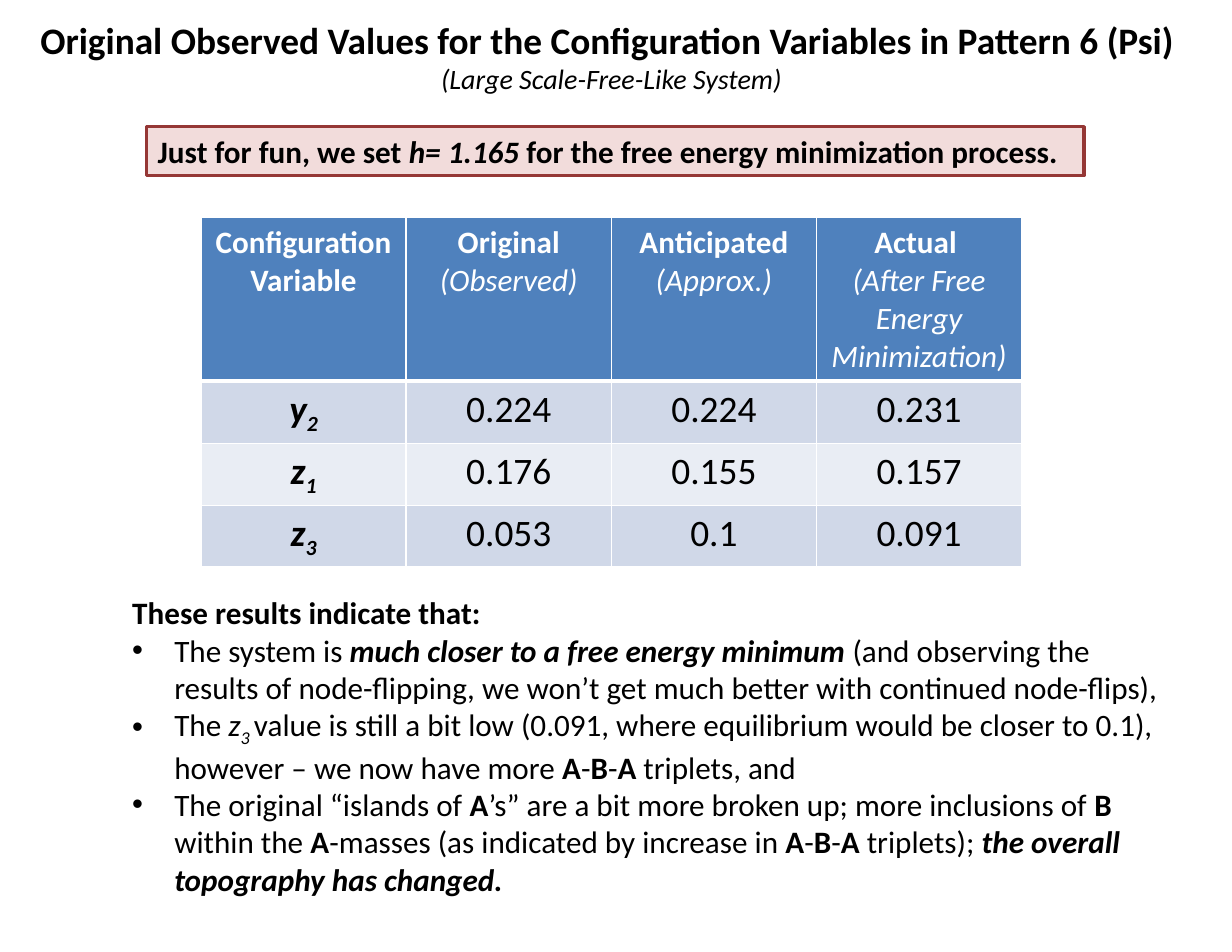
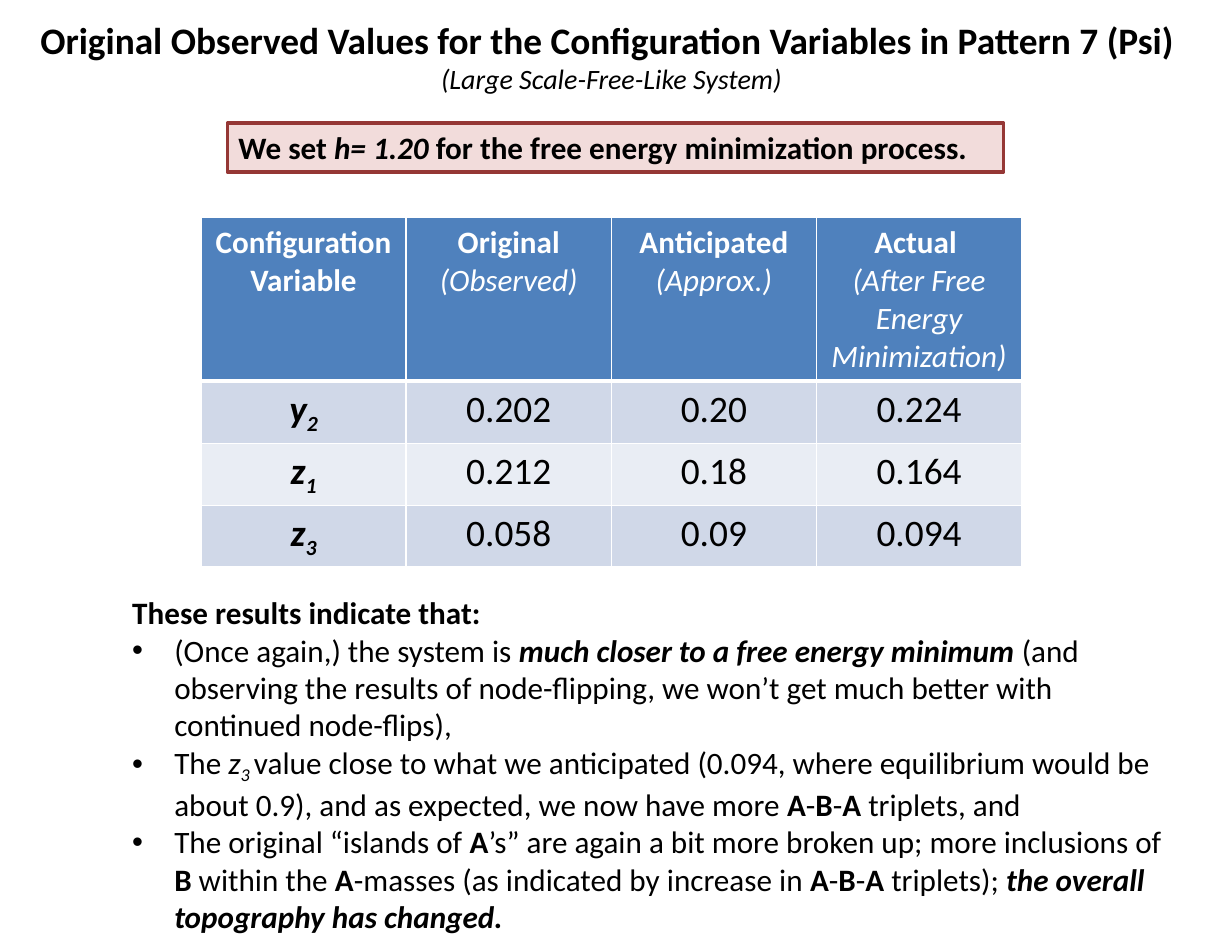
import pptx
import pptx.dml.color
import pptx.enum.shapes
import pptx.enum.text
import pptx.oxml
import pptx.oxml.ns
import pptx.util

Pt = pptx.util.Pt
RGBColor = pptx.dml.color.RGBColor
Align = pptx.enum.text.PP_ALIGN

# Shared style
FONT = "Calibri"
BLACK = RGBColor(0x00, 0x00, 0x00)
WHITE = RGBColor(0xFF, 0xFF, 0xFF)
HEADER_BLUE = RGBColor(0x4F, 0x81, 0xBD)
BAND_COLOURS = [RGBColor(0xD0, 0xD8, 0xE8), RGBColor(0xE9, 0xED, 0xF4)]
CALLOUT_FILL = RGBColor(0xF2, 0xDC, 0xDB)
CALLOUT_LINE = RGBColor(0x95, 0x37, 0x35)
LARGE, MEDIUM, SMALL = 24, 20, 18

# Layout in points: left, top, width, height
TITLE_BOX = (8.6, 7.2, 769, 58.3)
RESULTS_BOX = (77.8, 378, 678.2, 201)
TABLE_LEFT, TABLE_TOP = 129.2, 140
COLUMN_WIDTH, HEADER_HEIGHT, ROW_HEIGHT = 131.9, 103, 39.8
CALLOUT_HEIGHT = 31.5
BULLET_INDENT = 27

# Content: a run is (text, style), where b is bold, i italic and s subscript
SUBTITLE = [("(Large Scale-Free-Like System)", "i")]
HEADERS = [
    [[("Configuration Variable", "b")]],
    [[("Original ", "b"), ("(Observed)", "i")]],
    [[("Anticipated ", "b"), ("(Approx.)", "i")]],
    [[("Actual ", "b")], [("(After Free Energy Minimization)", "i")]],
]
VARIABLES = [("y", "2"), ("z", "1"), ("z", "3")]
TRIPLET = [("A", "b"), ("-", ""), ("B", "b"), ("-", ""), ("A", "b")]
RESULTS_HEADING = [("These results indicate that:", "b")]


def result_bullets(system, z3_value, islands):
    return [
        [(system, ""), ("much closer to a free energy minimum ", "bi"),
         ("(and observing the results of node-flipping, we won’t get much "
          "better with continued node-flips),", "")],
        [("The ", ""), ("z", "i"), ("3 ", "is"), (z3_value, ""),
         *TRIPLET, (" triplets, and", "")],
        [("The original “islands of ", ""), ("A", "b"), (islands, ""),
         ("B", "b"), (" within the ", ""), ("A", "b"),
         ("-masses (as indicated by increase in ", ""), *TRIPLET,
         (" triplets); ", ""), ("the overall topography has changed.", "bi")],
    ]


SLIDES = [
    {
        "pattern": 6,
        "callout": ("Just for fun, we set ", "h= 1.165 "),
        "callout_box": (94.3, 81.4, 602.6, CALLOUT_HEIGHT),
        "values": [("0.224", "0.224", "0.231"),
                   ("0.176", "0.155", "0.157"),
                   ("0.053", "0.1", "0.091")],
        "bullets": result_bullets(
            "The system is ",
            "value is still a bit low (0.091, where equilibrium would be "
            "closer to 0.1), however – we now have more ",
            "’s” are a bit more broken up; more inclusions of "),
    },
    {
        "pattern": 7,
        "callout": ("We set ", "h= 1.20 "),
        "callout_box": (146.2, 79.2, 499, CALLOUT_HEIGHT),
        "values": [("0.202", "0.20", "0.224"),
                   ("0.212", "0.18", "0.164"),
                   ("0.058", "0.09", "0.094")],
        "bullets": result_bullets(
            "(Once again,) the system is ",
            "value close to what we anticipated (0.094, where equilibrium "
            "would be about 0.9), and as expected, we now have more ",
            "’s” are again a bit more broken up; more inclusions of "),
    },
]


def add_runs(paragraph, runs, size, colour=BLACK):
    for text, style in runs:
        run = paragraph.add_run()
        run.text = text
        run.font.name = FONT
        run.font.size = Pt(size)
        run.font.color.rgb = colour
        run.font.bold = "b" in style
        run.font.italic = "i" in style
        if "s" in style:
            run._r.get_or_add_rPr().set("baseline", "-25000")


def next_paragraph(frame, index, alignment):
    paragraph = frame.add_paragraph() if index else frame.paragraphs[0]
    paragraph.alignment = alignment
    paragraph.space_before = Pt(0)
    return paragraph


def place(shape, box):
    shape.left, shape.top, shape.width, shape.height = map(Pt, box)


def prepare_frame(frame, wrap=True):
    frame.word_wrap = wrap
    frame.auto_size = pptx.enum.text.MSO_AUTO_SIZE.NONE
    frame.vertical_anchor = pptx.enum.text.MSO_ANCHOR.TOP


def set_bullet(paragraph, bulleted):
    properties = paragraph._p.get_or_add_pPr()
    indent = Pt(BULLET_INDENT) if bulleted else 0
    properties.set("marL", str(indent))
    properties.set("indent", str(-indent))
    namespace = pptx.oxml.ns.nsdecls("a")
    if bulleted:
        elements = [f'<a:buFont {namespace} typeface="Arial"/>',
                    f'<a:buChar {namespace} char="•"/>']
    else:
        elements = [f"<a:buNone {namespace}/>"]
    for element in elements:
        properties.append(pptx.oxml.parse_xml(element))


def add_title(slide, pattern):
    title = slide.shapes.title
    place(title, TITLE_BOX)
    prepare_frame(title.text_frame, wrap=False)
    heading = [("Original Observed Values for the Configuration Variables "
                f"in Pattern {pattern} (Psi) ", "b")]
    for index, (runs, size) in enumerate([(heading, LARGE), (SUBTITLE, SMALL)]):
        add_runs(next_paragraph(title.text_frame, index, Align.CENTER), runs, size)


def add_callout(slide, callout, box):
    shape = slide.shapes.add_shape(
        pptx.enum.shapes.MSO_SHAPE.RECTANGLE, *map(Pt, box))
    shape.shadow.inherit = False
    shape.fill.solid()
    shape.fill.fore_color.rgb = CALLOUT_FILL
    shape.line.color.rgb = CALLOUT_LINE
    shape.line.width = Pt(2.25)
    prepare_frame(shape.text_frame)
    opening, setting = callout
    runs = [(opening, "b"), (setting, "bi"),
            ("for the free energy minimization process.", "b")]
    add_runs(next_paragraph(shape.text_frame, 0, Align.LEFT), runs, MEDIUM)


def set_borders(cell, bottom_width):
    properties = cell._tc.get_or_add_tcPr()
    widths = {"lnL": 1, "lnR": 1, "lnT": 1, "lnB": bottom_width}
    for position, (tag, width) in enumerate(widths.items()):
        properties.insert(position, pptx.oxml.parse_xml(
            f'<a:{tag} {pptx.oxml.ns.nsdecls("a")} w="{Pt(width)}">'
            f'<a:solidFill><a:srgbClr val="{WHITE}"/></a:solidFill></a:{tag}>'))


def fill_cell(cell, paragraphs, size, colour, fill, bottom_width=1):
    cell.fill.solid()
    cell.fill.fore_color.rgb = fill
    set_borders(cell, bottom_width)
    for index, runs in enumerate(paragraphs):
        add_runs(next_paragraph(cell.text_frame, index, Align.CENTER),
                 runs, size, colour)


def add_values_table(slide, values):
    heights = [HEADER_HEIGHT] + [ROW_HEIGHT] * len(values)
    table = slide.shapes.add_table(
        len(heights), len(HEADERS), Pt(TABLE_LEFT), Pt(TABLE_TOP),
        Pt(COLUMN_WIDTH * len(HEADERS)), Pt(sum(heights))).table
    for column in table.columns:
        column.width = Pt(COLUMN_WIDTH)
    for row, height in zip(table.rows, heights):
        row.height = Pt(height)
    for column, paragraphs in enumerate(HEADERS):
        fill_cell(table.cell(0, column), paragraphs, MEDIUM, WHITE,
                  HEADER_BLUE, bottom_width=3)
    for row, ((letter, subscript), numbers) in enumerate(zip(VARIABLES, values)):
        label = [(letter, "bi"), (subscript, "bis")]
        cells = [label] + [[(number, "")] for number in numbers]
        for column, runs in enumerate(cells):
            fill_cell(table.cell(row + 1, column), [runs], LARGE, BLACK,
                      BAND_COLOURS[row % 2])


def add_results(slide, bullets):
    body = slide.placeholders[1]
    place(body, RESULTS_BOX)
    prepare_frame(body.text_frame)
    for index, runs in enumerate([RESULTS_HEADING] + bullets):
        paragraph = next_paragraph(body.text_frame, index, Align.LEFT)
        set_bullet(paragraph, bulleted=index > 0)
        add_runs(paragraph, runs, MEDIUM)


def main():
    presentation = pptx.Presentation()
    presentation.slide_width = Pt(792)
    presentation.slide_height = Pt(612)
    for content in SLIDES:
        slide = presentation.slides.add_slide(presentation.slide_layouts[1])
        add_title(slide, content["pattern"])
        add_callout(slide, content["callout"], content["callout_box"])
        add_results(slide, content["bullets"])
        add_values_table(slide, content["values"])
    presentation.save("out.pptx")


if __name__ == "__main__":
    main()
